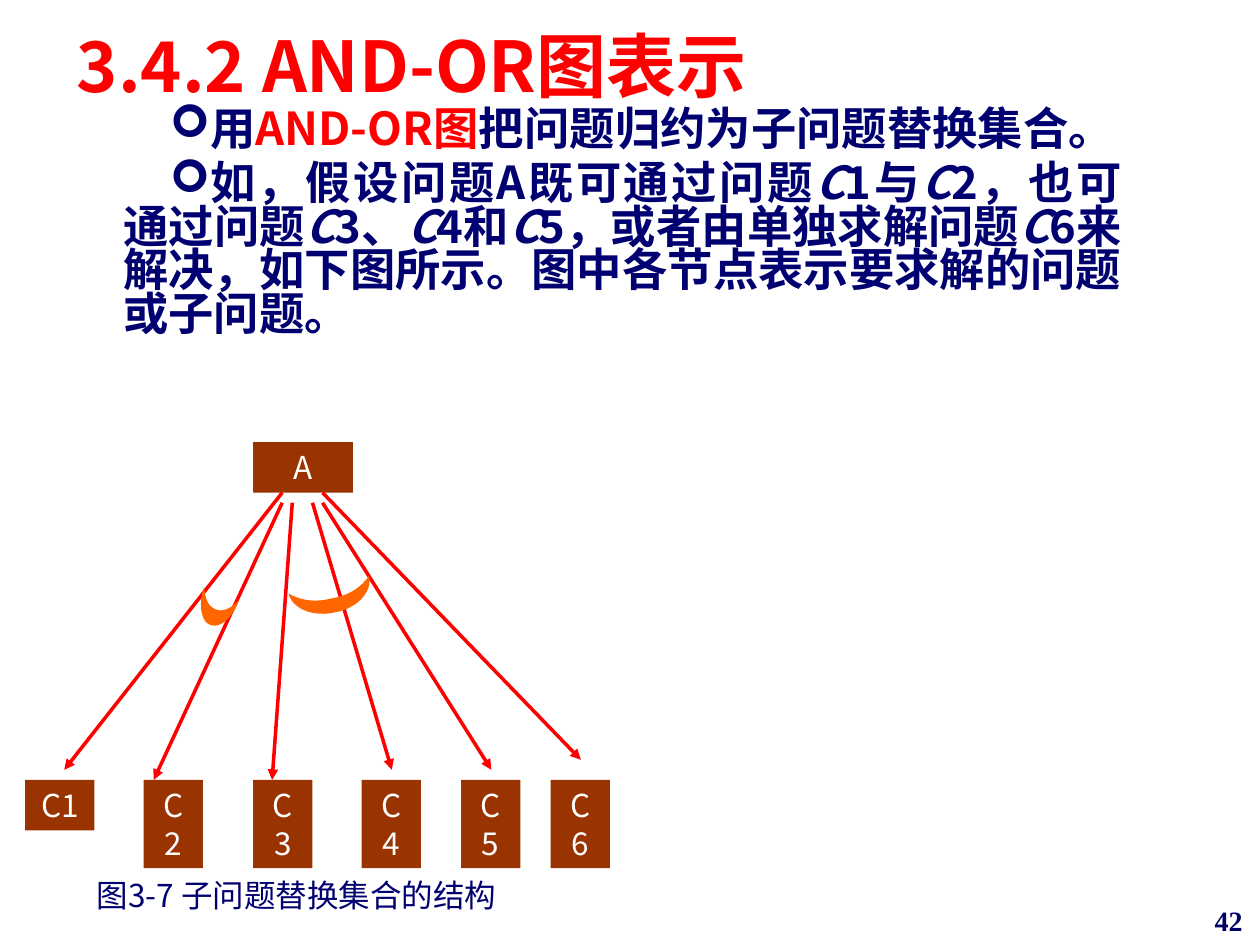
"""Builds the AND-OR graph slide with its problem reduction tree."""
from lxml import etree
from pptx import Presentation
from pptx.dml.color import RGBColor
from pptx.enum.shapes import MSO_CONNECTOR, MSO_SHAPE
from pptx.enum.text import MSO_ANCHOR, PP_ALIGN
from pptx.oxml.ns import qn
from pptx.util import Inches, Pt

STRAIGHT, RECT = MSO_CONNECTOR.STRAIGHT, MSO_SHAPE.RECTANGLE
TOP, MIDDLE = MSO_ANCHOR.TOP, MSO_ANCHOR.MIDDLE
LEFT, CENTER, RIGHT, JUSTIFY = PP_ALIGN.LEFT, PP_ALIGN.CENTER, PP_ALIGN.RIGHT, PP_ALIGN.JUSTIFY
COLORS = {"red": "FF0000", "navy": "000070", "number": "000066",
          "node": "993300", "arc": "FF6600", "white": "FFFFFF"}
FONT = "Noto Sans CJK SC"


def rgb(name):
    return RGBColor.from_string(COLORS[name])


def style(p, size, color, align=LEFT, bold=False, font=FONT):
    p.alignment = align
    for r in p.runs:
        r.font.size, r.font.bold, r.font.name = Pt(size), bold, font
        r.font.color.rgb = rgb(color)
        etree.SubElement(r.font._element, qn("a:ea"), typeface=font)


prs = Presentation()
prs.slide_width, prs.slide_height = Inches(10), Inches(7.5)
s = prs.slides.add_slide(prs.slide_layouts[5])

title = s.shapes.title
title.left, title.top, title.width, title.height = map(Inches, (0.51, 0.14, 8.5, 0.75))
tf = title.text_frame
tf.text = "3.4.2 AND-OR图表示"
tf.vertical_anchor = MIDDLE
style(tf.paragraphs[0], 40, "red", bold=True)

body = [
    [("用", ""), ("AND-OR图", "red"), ("把问题归约为子问题替换集合。", "")],
    [("如，假设问题A既可通过问题", ""), ("C", "italic"), ("1与", ""), ("C", "italic"),
     ("2，也可通过问题", ""), ("C", "italic"), ("3、", ""), ("C", "italic"), ("4和", ""),
     ("C", "italic"), ("5，或者由单独求解问题", ""), ("C", "italic"),
     ("6来解决，如下图所示。图中各节点表示要求解的问题或子问题。", "")],
]
tf = s.shapes.add_textbox(Inches(0.5), Inches(0.83), Inches(8.5), Inches(2.42)).text_frame
tf.word_wrap = True
tf.vertical_anchor = TOP
for i, parts in enumerate(body):
    p = tf.add_paragraph() if i else tf.paragraphs[0]
    pPr = p._p.get_or_add_pPr()
    pPr.set("marL", str(Inches(0.38)))
    pPr.set("indent", str(Inches(0.37)))
    pPr.set("hangingPunct", "0")
    bullet_color = etree.SubElement(pPr, qn("a:buClr"))
    etree.SubElement(bullet_color, qn("a:srgbClr"), val=COLORS["navy"])
    etree.SubElement(pPr, qn("a:buFont"), typeface="Wingdings", charset="2")
    etree.SubElement(pPr, qn("a:buChar"), char="➢")
    tabs = etree.SubElement(pPr, qn("a:tabLst"))
    for n in range(1, 9):
        etree.SubElement(tabs, qn("a:tab"), pos=str(Inches(n)), algn="l")
    p.line_spacing = 0.8
    p.space_before = Pt(6 if i else 0)
    for text, _ in parts:
        p.add_run().text = text
    style(p, 25.9, "navy", JUSTIFY, bold=True)
    for r, (_, mark) in zip(p.runs, parts):
        if mark == "italic":
            r.font.italic = True
        elif mark:
            r.font.color.rgb = rgb(mark)

nodes = [("A", 2.01, 3.51, 0.79, 0.4), ("C1", 0.2, 6.19, 0.55, 0.4)]
for n, left in enumerate((1.14, 2.01, 2.87, 3.66, 4.37), 2):
    nodes.append((f"C{n}", left, 6.19, 0.47, 0.7))
for name, *box in nodes:
    sp = s.shapes.add_shape(RECT, *map(Inches, box))
    sp.shadow.inherit = False
    sp.fill.solid()
    sp.fill.fore_color.rgb = rgb("node")
    sp.line.fill.background()
    tf = sp.text_frame
    tf.text = name
    tf.word_wrap = True
    tf.vertical_anchor = MIDDLE
    style(tf.paragraphs[0], 18, "white", CENTER)

arrows = [(2.24, 3.91, 0.51, 6.11), (2.24, 3.99, 1.22, 6.19), (2.32, 3.99, 2.16, 6.19),
          (2.48, 3.99, 3.11, 6.11), (2.56, 3.99, 3.9, 6.11), (2.56, 3.91, 4.61, 6.03)]
for ends in arrows:
    arrow = s.shapes.add_connector(STRAIGHT, *map(Inches, ends))
    arrow.line.color.rgb = rgb("red")
    arrow.line.width = Pt(2)
    etree.SubElement(arrow.line._get_or_add_ln(), qn("a:tailEnd"), type="triangle")
    etree.SubElement(arrow._element.spPr, qn("a:effectLst"))

arcs = [
    [(1.9, 4.76), (1.85, 4.81), (1.79, 4.86), (1.72, 4.84), (1.64, 4.81), (1.63, 4.74), (1.62, 4.66),
     (1.57, 4.8), (1.6, 4.94), (1.67, 4.96), (1.75, 4.99), (1.85, 4.9), (1.9, 4.76)],
    [(2.29, 4.71), (2.36, 4.75), (2.47, 4.79), (2.63, 4.75), (2.8, 4.72), (2.88, 4.64), (2.93, 4.57),
     (2.96, 4.7), (2.83, 4.83), (2.66, 4.86), (2.48, 4.9), (2.32, 4.83), (2.29, 4.71)],
]
STEPS = 12
for arc in arcs:
    points = []
    for i in range(0, len(arc) - 1, 3):
        for t in (k / STEPS for k in range(1, STEPS + 1)):
            weights = ((1 - t) ** 3, 3 * t * (1 - t) ** 2, 3 * t * t * (1 - t), t ** 3)
            points.append([Inches(sum(w * q[axis] for w, q in zip(weights, arc[i:i + 4])))
                           for axis in (0, 1)])
    outline = s.shapes.build_freeform(*points[-1])
    outline.add_line_segments(points, close=True)
    sp = outline.convert_to_shape()
    sp.shadow.inherit = False
    sp.fill.solid()
    sp.fill.fore_color.rgb = rgb("arc")
    sp.line.fill.background()

labels = [
    ("图3-7 子问题替换集合的结构", (0.67, 6.9, 4.57, 0.4), (18, "navy")),
    ("42", (7.88, 7.11, 2.08, 0.39), (16, "number", RIGHT, True, "Times New Roman")),
]
for text, box, look in labels:
    tf = s.shapes.add_textbox(*map(Inches, box)).text_frame
    tf.text = text
    tf.word_wrap = True
    tf.vertical_anchor = MIDDLE
    style(tf.paragraphs[0], *look)

prs.save("out.pptx")
